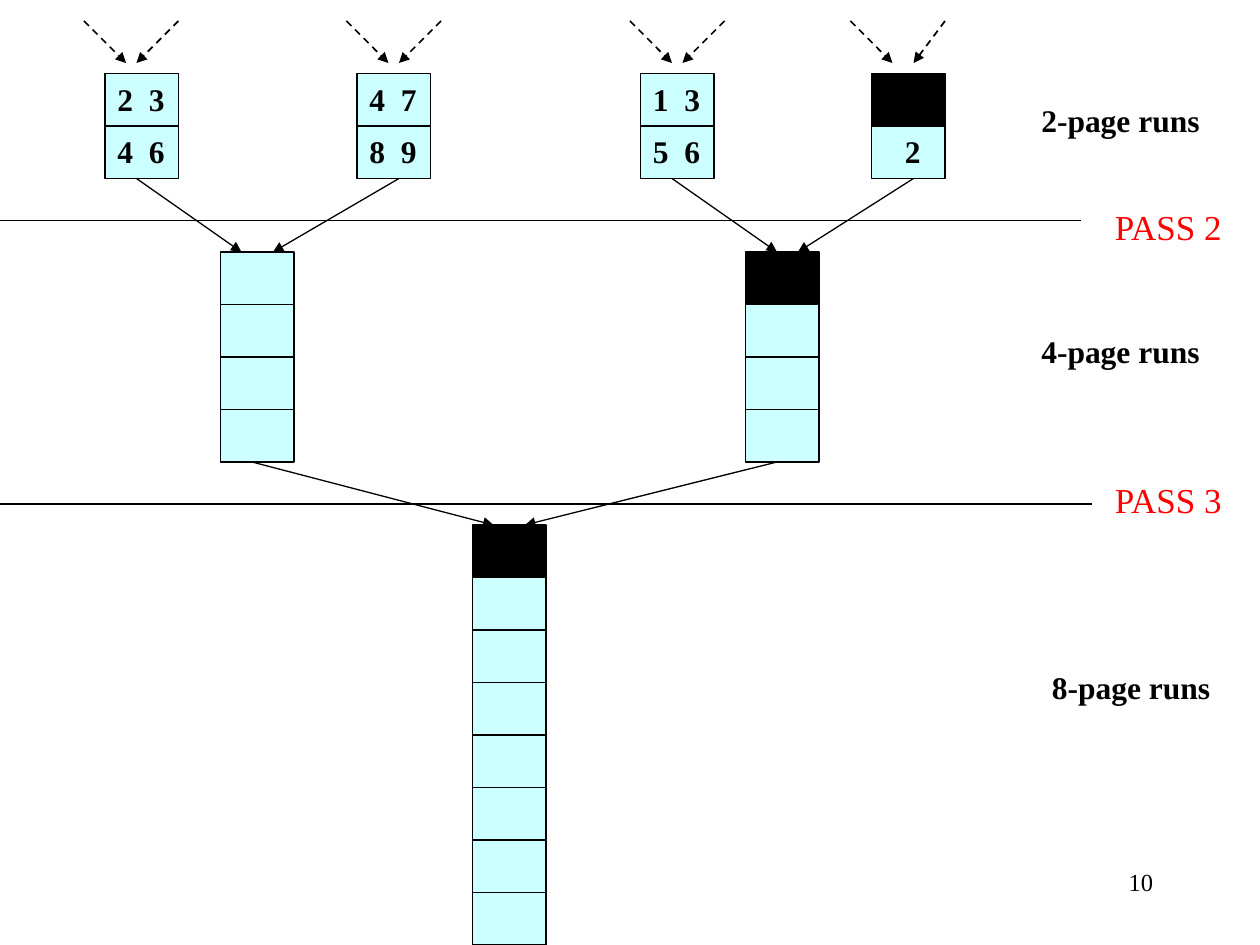
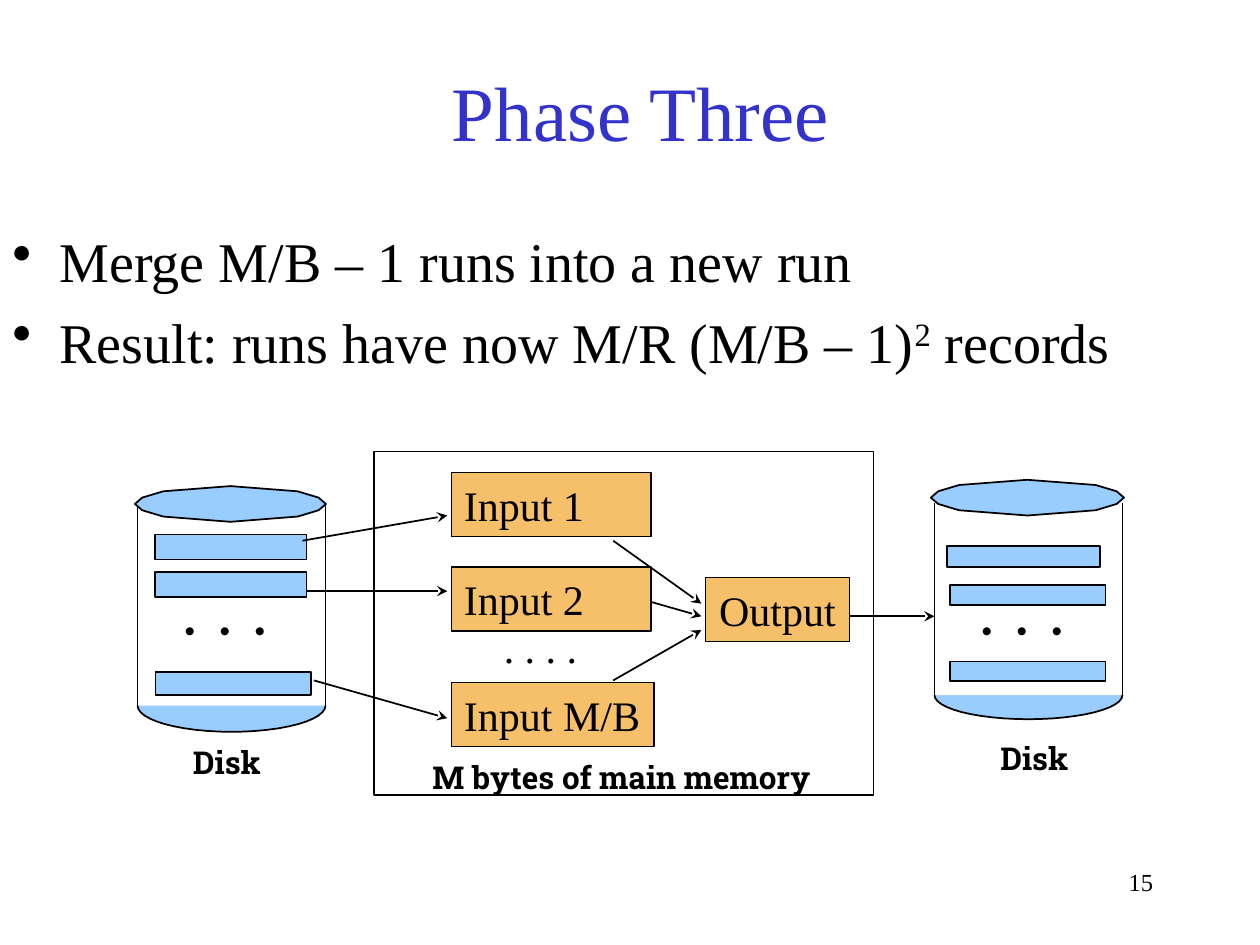
import math

import pptx
import pptx.dml.color
import pptx.enum.dml
import pptx.enum.shapes
import pptx.enum.text
import pptx.oxml.ns
import pptx.util
from lxml import etree

PX = 7620  # EMU in one px, 120 px to the inch
SERIF, SLAB, PAGELLA = "Times New Roman", "Roboto Slab", "TeX Gyre Pagella"
COLOURS = {
    "black": "000000",
    "red": "FF0000",
    "title": "3333CC",
    "page": "CCFFFF",
    "disk": "99CCFF",
    "buffer": "F6BF69",
}
ALIGN = pptx.enum.text.PP_ALIGN
ANCHOR = pptx.enum.text.MSO_ANCHOR
CELL_WIDTH, CELL_HEIGHT = 70, 50


def emu(*lengths):
    return [pptx.util.Emu(round(length * PX)) for length in lengths]


def colour(name):
    return pptx.dml.color.RGBColor.from_string(COLOURS[name])


def add_xml(parent, tag, **attributes):
    return etree.SubElement(parent, pptx.oxml.ns.qn(tag), **attributes)


# Text
def add_span(para, text, size, font=SERIF, ink="black", bold=False):
    span = para.add_run()
    span.text = text
    span.font.size = pptx.util.Pt(size)
    span.font.name = font
    span.font.bold = bold
    span.font.color.rgb = colour(ink)
    return span


def write(shape, text, size, wrap=False, align=ALIGN.LEFT, anchor=ANCHOR.TOP, **style):
    frame = shape.text_frame
    frame.word_wrap = wrap
    frame.vertical_anchor = anchor
    para = frame.paragraphs[0]
    para.alignment = align
    add_span(para, text, size, **style)


def add_label(page, text, place, size=18, **style):
    box = page.shapes.add_textbox(*emu(*place))
    write(box, text, size, **style)


def add_page_number(page, number):
    add_label(page, number, (860, 820, 250, 60), 14, wrap=True, align=ALIGN.RIGHT)


def add_title(page, text):
    title = page.shapes.title
    title.left, title.top, title.width, title.height = emu(100, 30, 1020, 150)
    write(title, text, 44, wrap=True, align=ALIGN.CENTER, anchor=ANCHOR.MIDDLE, ink="title")


def add_bullets(page, items, place):
    box = page.shapes.add_textbox(*emu(*place))
    frame = box.text_frame
    frame.word_wrap = True
    for index, spans in enumerate(items):
        para = frame.add_paragraph() if index else frame.paragraphs[0]
        para.space_before = pptx.util.Pt(7.5)
        settings = para._p.get_or_add_pPr()
        settings.set("marL", str(45 * PX))
        settings.set("indent", str(-45 * PX))
        add_xml(settings, "a:buChar", char="•")
        for text, raised in spans:
            span = add_span(para, text, 32)
            if raised:
                span.font._element.set("baseline", "30000")


# Shapes
def paint(shape, fill, line_width):
    shape.shadow.inherit = False
    if fill:
        shape.fill.solid()
        shape.fill.fore_color.rgb = colour(fill)
    else:
        shape.fill.background()
    if line_width:
        shape.line.color.rgb = colour("black")
        shape.line.width = pptx.util.Pt(line_width)
    else:
        shape.line.fill.background()


def add_box(page, place, fill=None, line_width=0.75):
    box = page.shapes.add_shape(pptx.enum.shapes.MSO_SHAPE.RECTANGLE, *emu(*place))
    paint(box, fill, line_width)
    return box


def add_outline(page, points, fill=None, line_width=1, closed=True):
    builder = page.shapes.build_freeform(*emu(*points[0]))
    builder.add_line_segments([emu(*point) for point in points[1:]], close=closed)
    paint(builder.convert_to_shape(), fill, line_width)


def add_line(page, start, end, width=0.75, head=None, dashed=False):
    line = page.shapes.add_connector(
        pptx.enum.shapes.MSO_CONNECTOR.STRAIGHT, *emu(*start, *end))
    line.line.color.rgb = colour("black")
    line.line.width = pptx.util.Pt(width)
    if dashed:
        line.line.dash_style = pptx.enum.dml.MSO_LINE.DASH
    if head:
        add_xml(line.line._get_or_add_ln(), "a:tailEnd", type=head)
    add_xml(line._element.spPr, "a:effectLst")


# Merge tree
def add_run_column(page, left, top, count, first_fill="page"):
    for row in range(count):
        fill = "page" if row else first_fill
        add_box(page, (left, top + row * CELL_HEIGHT, CELL_WIDTH, CELL_HEIGHT), fill)


def add_merge_arrows(page, starts, ends, **style):
    for start, end in zip(starts, ends):
        add_line(page, start, end, head="triangle", **style)


def build_merge_slide(page):
    add_page_number(page, "10")

    # Runs of two pages: left edge, first fill, records as (x offset, row, digit)
    two_page_runs = [
        (100, "page", [(0, 0, "2"), (30, 0, "3"), (0, 1, "4"), (30, 1, "6")]),
        (340, "page", [(0, 0, "4"), (30, 0, "7"), (0, 1, "8"), (30, 1, "9")]),
        (610, "page", [(0, 0, "1"), (30, 0, "3"), (0, 1, "5"), (30, 1, "6")]),
        (830, "black", [(20, 1, "2")]),
    ]
    for left, first_fill, records in two_page_runs:
        add_run_column(page, left, 70, 2, first_fill)
        for offset, row, digit in records:
            place = (left + offset, 70 + row * CELL_HEIGHT, 40, 48)
            add_label(page, digit, place, bold=True)

    # Longer runs
    add_run_column(page, 210, 240, 4)
    add_run_column(page, 710, 240, 4, "black")
    add_run_column(page, 450, 500, 8, "black")

    # Arrows into the two-page runs: start and end of each pair
    for left, right, left_tip, right_tip in [
        (80, 170, 120, 130), (330, 420, 370, 380),
        (600, 690, 640, 650), (810, 900, 850, 870),
    ]:
        add_merge_arrows(page, [(left, 20), (right, 20)],
                         [(left_tip, 60), (right_tip, 60)], width=1, dashed=True)

    # Arrows between the levels
    add_merge_arrows(page, [(x, 170) for x in (130, 380, 640, 870)],
                     [(x, 240) for x in (230, 260, 740, 760)])
    add_merge_arrows(page, [(240, 440), (740, 440)], [(470, 500), (500, 500)])

    # Pass lines and labels
    for text, line_top, line_end, label_top in [
        ("PASS 2", 210, 1030, 190), ("PASS 3", 480, 1040, 450),
    ]:
        add_line(page, (0, line_top), (line_end, line_top))
        add_label(page, text, (1050, label_top, 128, 52), 20, ink="red")
    for text, left, top in [
        ("2-page runs", 980, 90), ("4-page runs", 980, 310), ("8-page runs", 990, 630),
    ]:
        add_label(page, text, (left, top, 175, 48), bold=True)


# Disks and memory
def add_disk(page, left, cap_middle, cap_half, bottom, depth, bars, label_place, dots_left):
    width = 179
    centre = left + width / 2

    # Bowl at the bottom, its curve drawn without the flat edge
    curve = [(centre - width / 2 * math.cos(math.pi * step / 24),
              bottom + depth * math.sin(math.pi * step / 24)) for step in range(25)]
    add_outline(page, curve, fill="disk", line_width=None)
    add_outline(page, curve, closed=False)
    for side in (left, left + width):
        add_line(page, (side, 479), (side, bottom), 1)

    # Twelve-sided cap
    quarter = [(cap_half, 0), (cap_half - 7, 6), (cap_half - 27, 12), (0, 17)]
    half = quarter + [(-x, y) for x, y in quarter[-2::-1]]
    ring = half + [(x, -y) for x, y in half[-2:0:-1]]
    add_outline(page, [(centre - 1 + x, cap_middle + y) for x, y in ring], fill="disk")

    for bar in bars:
        add_box(page, bar, "disk", 1)
    add_label(page, ". . .", (dots_left, 533, 108, 92), 40, font=PAGELLA)
    add_label(page, "Disk", label_place, font=SLAB, bold=True)


def build_phase_slide(page):
    add_title(page, "Phase Three")
    add_page_number(page, "15")
    add_bullets(page, [
        [("Merge M/B – 1 runs into a new run", False)],
        [("Result: runs have now M/R (M/B – 1)", False), ("2", True), (" records", False)],
    ], (0, 210, 1180, 540))

    # Disks on both sides
    add_disk(page, 131, 480, 91, 672, 25,
             [(148, 509, 144, 24), (148, 545, 144, 24), (148, 640, 148, 22)],
             (172, 702, 94, 48), 161)
    add_disk(page, 890, 474, 92, 662, 23,
             [(902, 520, 146, 20), (905, 557, 148, 19), (905, 630, 148, 19)],
             (941, 698, 94, 48), 920)

    # Main memory
    add_box(page, (356, 430, 476, 327), line_width=1)
    add_label(page, "M bytes of main memory", (400, 716, 427, 48),
              wrap=True, font=SLAB, bold=True)

    # Data flow
    for start, end in [
        ((288, 515), (426, 491)), ((292, 563), (426, 563)), ((299, 648), (426, 684)),
        ((584, 515), (668, 575)), ((584, 563), (668, 587)), ((584, 648), (668, 600)),
        ((806, 587), (890, 587)),
    ]:
        add_line(page, start, end, 1, "stealth")

    # Buffers
    for text, place, wrap, align in [
        ("Input 1", (430, 450, 190, 61), True, ALIGN.LEFT),
        ("Input 2", (430, 540, 190, 61), True, ALIGN.LEFT),
        ("Input M/B", (430, 650, 193, 61), False, ALIGN.LEFT),
        ("Output", (672, 550, 137, 61), False, ALIGN.CENTER),
    ]:
        buffer = add_box(page, place, "buffer")
        write(buffer, text, 24, wrap=wrap, align=align, anchor=ANCHOR.MIDDLE)
    add_label(page, ". . . .", (468, 586, 94, 60), 24)


def main():
    deck = pptx.Presentation()
    deck.slide_width, deck.slide_height = emu(1200, 900)
    title_only, blank = deck.slide_layouts[5], deck.slide_layouts[6]
    build_merge_slide(deck.slides.add_slide(blank))
    build_phase_slide(deck.slides.add_slide(title_only))
    deck.save("out.pptx")


if __name__ == "__main__":
    main()
